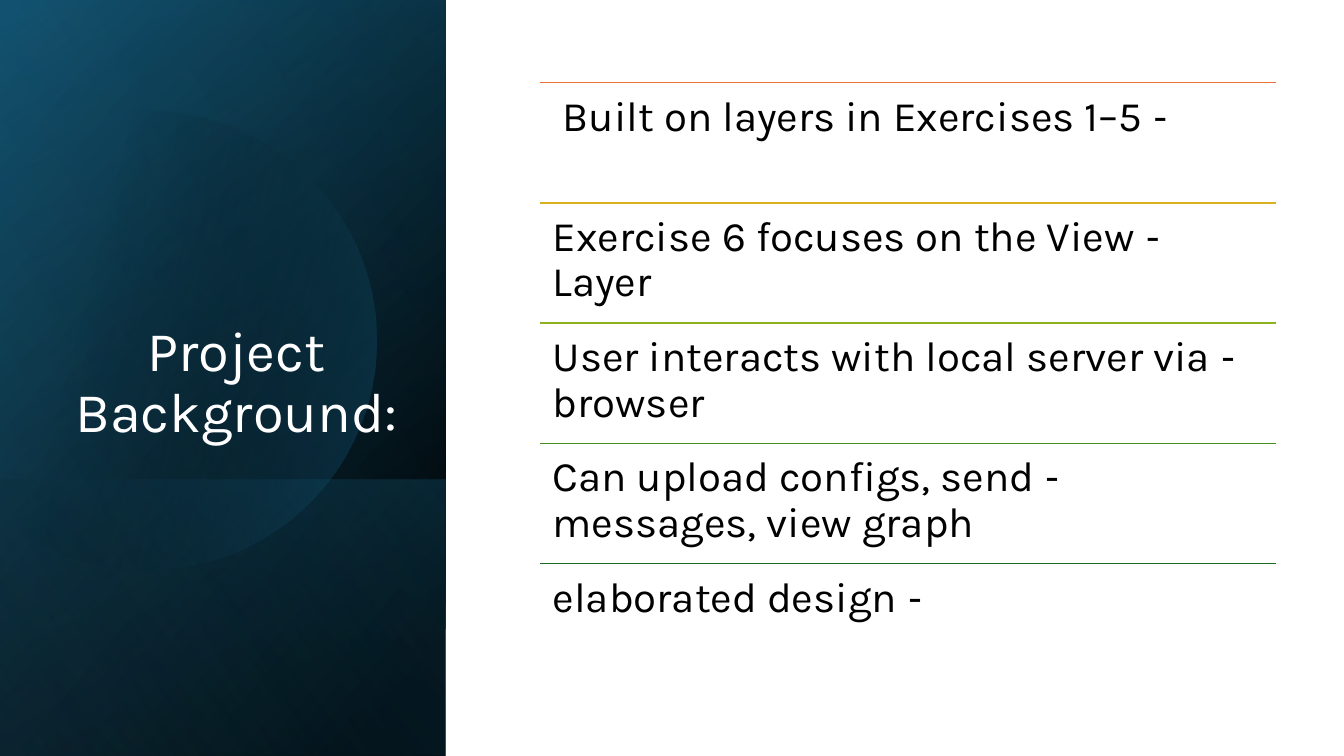
import math
from dataclasses import dataclass

from lxml import etree
from pptx import Presentation
from pptx import util as u
from pptx.dml.color import RGBColor
from pptx.enum import shapes, text
from pptx.oxml import ns

W, H = u.Inches(13.333), u.Inches(7.5)
FONT = "Karla"
COLORS = {
    "black": "000000", "white": "FFFFFF", "navy": "104862",
    "teal": "156082", "sky": "46B1E1", "orange": "E97132",
    "gold": "D8B11D", "lime": "8EB21E", "green": "408E1C", "forest": "196B24",
}

# Shares of the slide, in percent
PANEL_WIDTH = 33.15
TITLE_BOX = (4.8, 24.53, 25.58, 34.93)
ROW_LEFT, ROW_TOP, ROW_WIDTH, ROW_PITCH = 40.2, 10.93, 54.75, 15.9
DISC_X, DISC_Y, DISC_RADIUS, DISC_CUT = 10.88, 45.07, 30.4, -1.13
ROW_INSET = 0.92


@dataclass
class Stop:
    pos: int
    color: str
    alpha: int = 100


@dataclass
class Band:
    top: float
    height: float
    angle: float
    stops: tuple[Stop, ...]


@dataclass
class Row:
    words: str
    color: str
    indent: float = 0


BASE = (
    Band(0, 100, 50, (Stop(8, "black"), Stop(100, "navy"))),
    Band(0, 100, 30, (Stop(0, "black", 0), Stop(99, "teal", 46))),
    Band(63.47, 36.53, 130, (Stop(2, "teal", 29), Stop(100, "black", 30))),
)
DISC_STOPS = (Stop(29, "black", 0), Stop(100, "teal", 43))
GLAZE = Band(0, 100, 120, (Stop(0, "black", 0), Stop(99, "sky", 11)))
ROWS = (
    Row("- Built on layers in Exercises 1–5", "orange", 0.75),
    Row("- Exercise 6 focuses on the View Layer", "gold"),
    Row("- User interacts with local server via browser", "lime"),
    Row("- Can upload configs, send messages, view graph", "green"),
    Row("- elaborated design", "forest"),
)


def across(share: float) -> int:
    return round(W * share / 100)


def down(share: float) -> int:
    return round(H * share / 100)


def rgb(name: str) -> RGBColor:
    return RGBColor.from_string(COLORS[name])


def fill_gradient(sp, stops: tuple[Stop, ...], angle: float) -> None:
    """Give the shape a linear gradient with transparent stops and no outline."""
    sp.shadow.inherit = False
    sp.line.fill.background()
    sp.fill.gradient()
    grad = sp.element.spPr.find(ns.qn("a:gradFill"))
    for child in list(grad):
        grad.remove(child)
    grad.set("rotWithShape", "1")
    gs_list = etree.SubElement(grad, ns.qn("a:gsLst"))
    for stop in stops:
        gs = etree.SubElement(gs_list, ns.qn("a:gs"), pos=str(stop.pos * 1000))
        clr = etree.SubElement(gs, ns.qn("a:srgbClr"), val=COLORS[stop.color])
        etree.SubElement(clr, ns.qn("a:alpha"), val=str(stop.alpha * 1000))
    etree.SubElement(grad, ns.qn("a:lin"), ang=str(round(angle * 60000)), scaled="0")


def add_band(s, band: Band) -> None:
    """Draw a part of the left panel as a rectangle turned by 90 degrees."""
    width, height = down(band.height), across(PANEL_WIDTH)
    left = (height - width) // 2
    top = down(band.top) + (width - height) // 2
    sp = s.shapes.add_shape(shapes.MSO_SHAPE.RECTANGLE, left, top, width, height)
    sp.rotation = 90
    sp.element.spPr.find(ns.qn("a:xfrm")).set("flipH", "1")
    fill_gradient(sp, band.stops, band.angle)


def add_disc(s, steps: int = 120) -> None:
    """Draw the circle whose left side is cut off straight."""
    cx, cy, radius = across(DISC_X), down(DISC_Y), down(DISC_RADIUS)
    end = math.acos((across(DISC_CUT) - cx) / radius)
    angles = [end * (2 * i / steps - 1) for i in range(steps + 1)]
    points = [(round(cx + radius * math.cos(a)), round(cy + radius * math.sin(a)))
              for a in angles]
    builder = s.shapes.build_freeform(*points[0])
    builder.add_line_segments(points[1:], close=True)
    fill_gradient(builder.convert_to_shape(), DISC_STOPS, 13.9)


def add_run(p, words: str, size: int, color: str) -> None:
    p.line_spacing = 0.9
    r = p.add_run()
    r.text = words
    r.font.name = FONT
    r.font.size = u.Pt(size)
    r.font.color.rgb = rgb(color)


def add_title(s, words: str) -> None:
    sp = s.shapes.title
    s.shapes.element.append(sp.element)  # in front of the panel
    left, top, width, height = TITLE_BOX
    sp.left, sp.top = across(left), down(top)
    sp.width, sp.height = across(width), down(height)
    tf = sp.text_frame
    tf.word_wrap = True
    tf.auto_size = text.MSO_AUTO_SIZE.NONE
    tf.vertical_anchor = text.MSO_ANCHOR.BOTTOM
    p = tf.paragraphs[0]
    p.alignment = text.PP_ALIGN.CENTER
    add_run(p, words, 40, "white")


def add_row(s, index: int, row: Row) -> None:
    """Draw a rule with its right-to-left text below."""
    left, width = across(ROW_LEFT), across(ROW_WIDTH)
    top = down(ROW_TOP + index * ROW_PITCH)
    rule = s.shapes.add_connector(
        shapes.MSO_CONNECTOR.STRAIGHT, left, top, left + width, top)
    rule.line.color.rgb = rgb(row.color)
    rule.line.width = u.Pt(1)
    etree.SubElement(rule.element.spPr, ns.qn("a:effectLst"))

    tf = s.shapes.add_textbox(left, top, width, down(ROW_PITCH)).text_frame
    tf.word_wrap = True
    tf.margin_left = across(ROW_INSET + row.indent)
    tf.margin_right = tf.margin_top = tf.margin_bottom = across(ROW_INSET)
    p = tf.paragraphs[0]
    p.alignment = text.PP_ALIGN.LEFT
    add_run(p, row.words, 30, "black")
    p._p.get_or_add_pPr().set("rtl", "1")


def main() -> None:
    prs = Presentation()
    prs.slide_width, prs.slide_height = W, H
    s = prs.slides.add_slide(prs.slide_layouts[5])
    for band in BASE:
        add_band(s, band)
    add_disc(s)
    add_band(s, GLAZE)
    add_title(s, "Project Background:")
    for index, row in enumerate(ROWS):
        add_row(s, index, row)
    prs.save("out.pptx")


if __name__ == "__main__":
    main()
